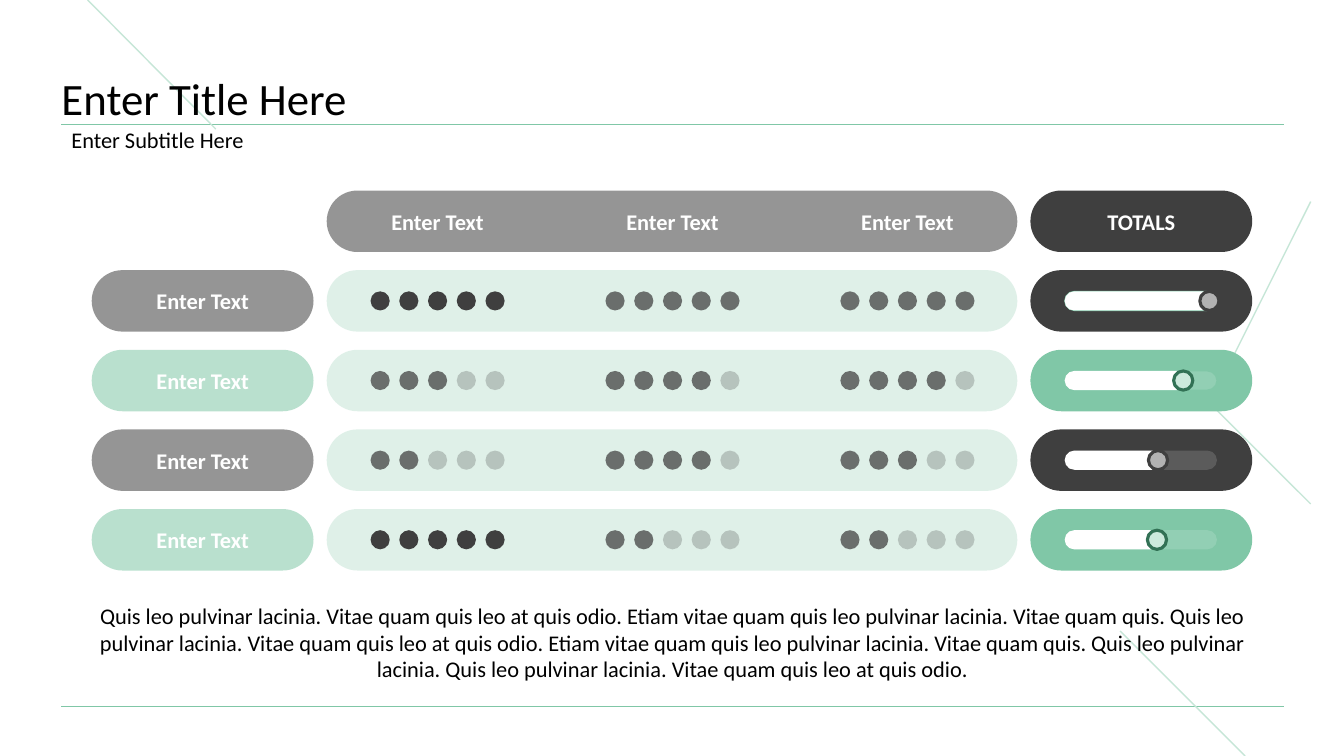
from lxml import etree
from pptx import Presentation
from pptx.dml.color import RGBColor
from pptx.enum.shapes import MSO_CONNECTOR, MSO_SHAPE as SHAPE
from pptx.enum.text import MSO_ANCHOR as ANCHOR, MSO_AUTO_SIZE as AUTO_SIZE, PP_ALIGN as ALIGN
from pptx.oxml.ns import qn
from pptx.util import Inches, Pt

WHITE, BLACK = RGBColor(255, 255, 255), RGBColor(0, 0, 0)
CHARCOAL = RGBColor(0x3F, 0x3F, 0x3F)
SILVER = RGBColor(0xB2, 0xB2, 0xB2)
GREEN = RGBColor(0x80, 0xC7, 0xA7)
MINT = RGBColor(0xC6, 0xE6, 0xD7)
PALE_GREEN = RGBColor(0xCC, 0xE9, 0xDC)
DARK_GREEN = RGBColor(0x32, 0x71, 0x55)
FONT = "Calibri"

TITLE = "Enter Title Here"
SUBTITLE = "Enter Subtitle Here"
HEADERS = ["Enter Text", "Enter Text", "Enter Text"]
TOTALS = "TOTALS"
# label, dots filled per column, bar length, knob's right end, track outlined
ROWS = [
    ("Enter Text", (5, 5, 5), 1.50, 1.53, True),
    ("Enter Text", (3, 4, 4), 1.27, 1.27, True),
    ("Enter Text", (2, 4, 3), 1.02, 1.02, False),
    ("Enter Text", (5, 2, 2), 1.01, 1.01, False),
]
# pill colour, knob fill, knob outline; rows alternate
THEMES = [(CHARCOAL, SILVER, CHARCOAL), (GREEN, PALE_GREEN, DARK_GREEN)]
SUMMARY = (
    "Quis leo pulvinar lacinia. Vitae quam quis leo at quis odio. Etiam vitae quam quis leo "
    "pulvinar lacinia. Vitae quam quis. Quis leo pulvinar lacinia. Vitae quam quis leo at quis "
    "odio. Etiam vitae quam quis leo pulvinar lacinia. Vitae quam quis. Quis leo pulvinar "
    "lacinia. Quis leo pulvinar lacinia. Vitae quam quis leo at quis odio."
)

# Inches
SLIDE_WIDTH, SLIDE_HEIGHT = 13.33, 7.5
MARGIN, CONTENT_WIDTH = 0.61, 12.12
TITLE_RULE, BOTTOM_RULE = 1.23, 7.01
GRID_TOP, ROW_STEP, PILL_HEIGHT = 1.89, 0.79, 0.61
LABEL_LEFT, BAND_LEFT, TOTAL_LEFT = 0.91, 3.24, 10.22
PILL_WIDTH, BAND_WIDTH = 2.2, 6.85
FIRST_COLUMN, COLUMN_STEP = 4.34, 2.33
DOT, DOT_STEP, DOT_COUNT = 0.19, 0.285, 5
TRACK_LEFT, TRACK_WIDTH = 10.56, 1.51

presentation = Presentation()
presentation.slide_width = Inches(SLIDE_WIDTH)
presentation.slide_height = Inches(SLIDE_HEIGHT)
slide = presentation.slides.add_slide(presentation.slide_layouts[6])


def add_line(start, end, color, width):
    """Draw a straight line between two points."""
    line = slide.shapes.add_connector(MSO_CONNECTOR.STRAIGHT, *map(Inches, start + end))
    line.line.color.rgb = color
    line.line.width = Pt(width)
    etree.SubElement(line._element.spPr, qn("a:effectLst"))


def add_filled(kind, left, top, width, height, color, alpha=100, outline=None, outline_width=0.75):
    """Draw a filled shape, optionally translucent or outlined."""
    shape = slide.shapes.add_shape(kind, *map(Inches, (left, top, width, height)))
    shape.shadow.inherit = False
    shape.fill.solid()
    shape.fill.fore_color.rgb = color
    if alpha < 100:
        color_element = shape._element.spPr.find(qn("a:solidFill"))[0]
        etree.SubElement(color_element, qn("a:alpha"), val=str(alpha * 1000))
    if outline is None:
        shape.line.fill.background()
    else:
        shape.line.color.rgb = outline
        shape.line.width = Pt(outline_width)
    return shape


def add_pill(*args, **options):
    """Draw a rectangle with fully rounded ends."""
    add_filled(SHAPE.ROUNDED_RECTANGLE, *args, **options).adjustments[0] = 0.5


def add_text(text, left, top, width, height, size=16, color=BLACK, bold=False, align=ALIGN.LEFT,
             anchor=ANCHOR.MIDDLE, wrap=True, spacing=1.0, insets=(0, 0)):
    """Place one paragraph in a text box."""
    box = slide.shapes.add_textbox(*map(Inches, (left, top, width, height)))
    frame = box.text_frame
    frame.word_wrap = wrap
    frame.auto_size = AUTO_SIZE.NONE
    frame.vertical_anchor = anchor
    frame.margin_left = frame.margin_right = Inches(insets[0])
    frame.margin_top = frame.margin_bottom = Inches(insets[1])
    paragraph = frame.paragraphs[0]
    paragraph.text = text
    paragraph.alignment = align
    paragraph.line_spacing = spacing
    font = paragraph.font
    font.name, font.size, font.bold = FONT, Pt(size), bold
    font.color.rgb = color


def add_label(text, center, row_top):
    """Centre a white bold label in a row of the grid."""
    width, height = 0.95, 0.27
    add_text(text, center - width / 2, row_top + (PILL_HEIGHT - height) / 2, width, height,
             color=WHITE, bold=True, align=ALIGN.CENTER, wrap=False)


def add_dots(column, score, top):
    """Draw a five-dot rating; a full first column is opaque."""
    left = FIRST_COLUMN + column * COLUMN_STEP - (DOT + (DOT_COUNT - 1) * DOT_STEP) / 2
    filled_alpha = 100 if column == 0 and score == DOT_COUNT else 73
    for index in range(DOT_COUNT):
        add_filled(SHAPE.OVAL, left + index * DOT_STEP, top, DOT, DOT, CHARCOAL,
                   alpha=filled_alpha if index < score else 25)


def add_background():
    """Draw the rules, diagonals and chevron behind the content."""
    for y in (BOTTOM_RULE, TITLE_RULE):
        add_line((MARGIN, y), (MARGIN + CONTENT_WIDTH, y), GREEN, 0.5)
    add_line((11.11, 6.26), (12.35, SLIDE_HEIGHT), MINT, 1)
    add_line((0.87, 0), (2.14, 1.28), MINT, 1)
    tip, edge, middle, reach = 12.04, 13.32, 3.75, 1.28
    builder = slide.shapes.build_freeform(edge, middle - reach, scale=Inches(1))
    builder.add_line_segments([(tip, middle), (edge, middle + reach)], close=False)
    chevron = builder.convert_to_shape()
    chevron.shadow.inherit = False
    chevron.fill.background()
    chevron.line.color.rgb = MINT
    chevron.line.width = Pt(1)


def add_header_row():
    """Draw the column headings."""
    add_pill(BAND_LEFT, GRID_TOP, BAND_WIDTH, PILL_HEIGHT, CHARCOAL, alpha=55)
    for column, header in enumerate(HEADERS):
        add_label(header, FIRST_COLUMN + column * COLUMN_STEP, GRID_TOP)
    add_pill(TOTAL_LEFT, GRID_TOP, PILL_WIDTH, PILL_HEIGHT, CHARCOAL)
    add_label(TOTALS, TOTAL_LEFT + PILL_WIDTH / 2, GRID_TOP)


def add_row(index, label, scores, bar, knob_end, outlined):
    """Draw one row: label, ratings and total slider."""
    pill_color, knob_fill, knob_line = THEMES[index % 2]
    top = GRID_TOP + (index + 1) * ROW_STEP
    dot_top = top + (PILL_HEIGHT - DOT) / 2
    add_pill(LABEL_LEFT, top, PILL_WIDTH, PILL_HEIGHT, pill_color, alpha=55)
    add_pill(BAND_LEFT, top, BAND_WIDTH, PILL_HEIGHT, GREEN, alpha=25)
    add_label(label, LABEL_LEFT + PILL_WIDTH / 2, top)
    for column, score in enumerate(scores):
        add_dots(column, score, dot_top)
    add_pill(TOTAL_LEFT, top, PILL_WIDTH, PILL_HEIGHT, pill_color)
    add_pill(TRACK_LEFT, dot_top, TRACK_WIDTH, DOT, WHITE, alpha=15,
             outline=GREEN if outlined else None)
    add_pill(TRACK_LEFT, dot_top, bar, DOT, WHITE)
    add_filled(SHAPE.OVAL, TRACK_LEFT + knob_end - DOT, dot_top, DOT, DOT, knob_fill,
               outline=knob_line, outline_width=2.25)


add_background()
add_text(SUBTITLE, MARGIN, TITLE_RULE, CONTENT_WIDTH, 0.34, spacing=0.9, insets=(0.1, 0.05))
add_text(TITLE, MARGIN, 0.44, CONTENT_WIDTH, 0.8, size=32, anchor=ANCHOR.BOTTOM, spacing=0.9)
add_header_row()
for index, row in enumerate(ROWS):
    add_row(index, *row)
add_text(SUMMARY, 0.92, 5.97, 11.5, 0.81, align=ALIGN.CENTER, anchor=ANCHOR.TOP)

presentation.save("out.pptx")
